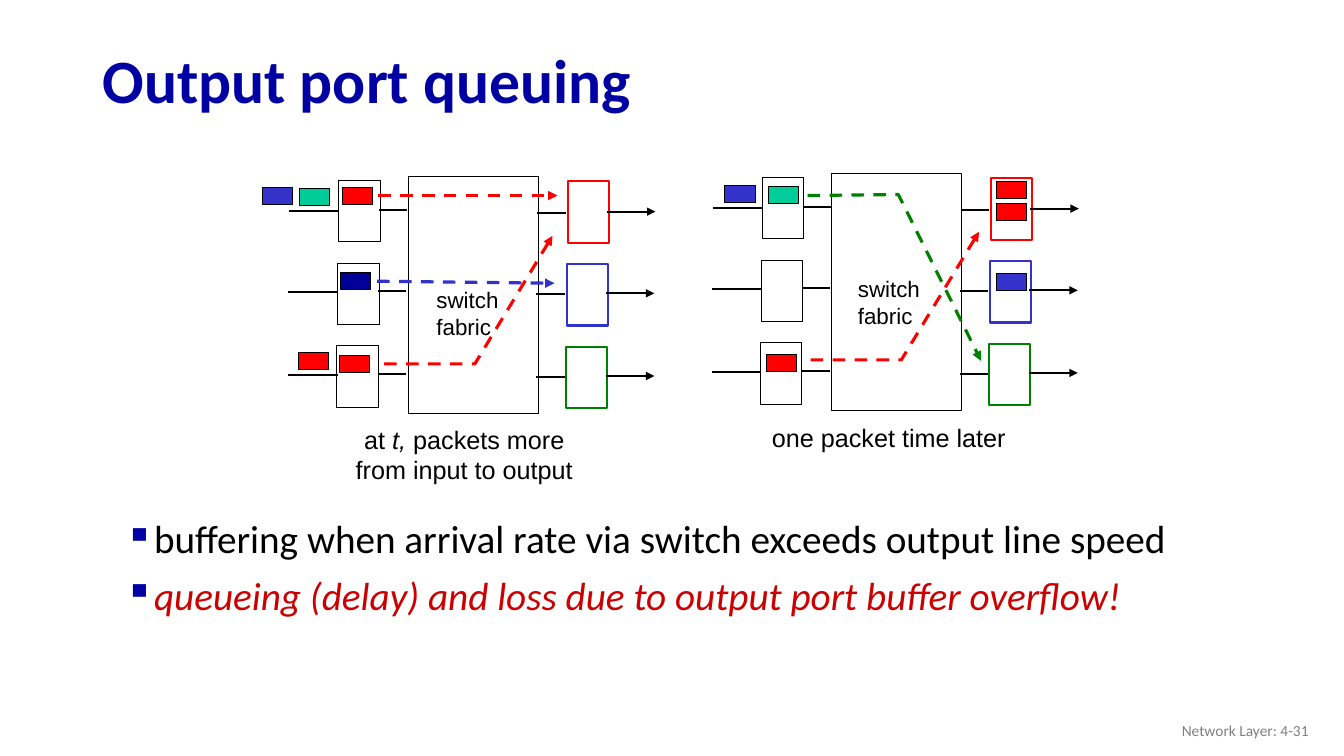
from lxml import etree
from pptx import Presentation
from pptx.dml.color import RGBColor
from pptx.enum.dml import MSO_LINE
from pptx.enum.shapes import MSO_CONNECTOR, MSO_SHAPE
from pptx.enum.text import MSO_ANCHOR, PP_ALIGN
from pptx.oxml.ns import qn
from pptx.util import Pt

PX = 9144
RECT, STRAIGHT, DASH = MSO_SHAPE.RECTANGLE, MSO_CONNECTOR.STRAIGHT, MSO_LINE.DASH
TOP, MIDDLE = MSO_ANCHOR.TOP, MSO_ANCHOR.MIDDLE
LEFT, CENTER, RIGHT = PP_ALIGN.LEFT, PP_ALIGN.CENTER, PP_ALIGN.RIGHT

BLACK, WHITE, NAVY = "000000", "FFFFFF", "0000A3"
RED, BLUE, GREEN, TEAL, DARK_BLUE = "FF0000", "3333CC", "008000", "00CC99", "000099"

ROW_SHIFTS = (0, -1, -1)
PORT_PITCH = 82
WIRE_DROPS = (0, 81, 163)
WIRES = ((128, 156, 36, False), (-29, -1, 33, False),
         (-118, -69, 34, False), (197, 245, 35, True))

AT_T = {
    "box": (405, 175),
    "packets": [(-65, 11, RED), (-67, 95, DARK_BLUE), (-68, 178, RED),
                (-108, 12, TEAL), (-109, 175, RED), (-145, 11, BLUE)],
    "routes": [(RED, [(-30, 19), (148, 19)]),
               (RED, [(-24, 186), (66, 186), (143, 59)]),
               (BLUE, [(-31, 104), (145, 106)])],
    "label": (18, 104),
    "caption": (-79, 241, 269, 70),
    "caption_lines": [
        [("at ", {}), ("t,", {"italic": True}), (" packets more", {})],
        [("from input to output", {})]],
}
ONE_PACKET_LATER = {
    "box": (825, 172),
    "packets": [(163, 8, RED), (163, 99, BLUE), (163, 30, RED),
                (-63, 13, TEAL), (-65, 180, RED), (-106, 12, BLUE)],
    "routes": [(RED, [(-21, 185), (69, 185), (146, 58)]),
               (GREEN, [(-24, 22), (66, 21), (148, 186)])],
    "label": (16, 96),
    "caption": (-78, 242, 269, 40),
    "caption_lines": [[("one packet time later", {})]],
}


def color(hex_string):
    """Turn a hex string into a colour."""
    return RGBColor.from_string(hex_string)


def emu(*lengths):
    """Turn px lengths into EMU."""
    return [length * PX for length in lengths]


def stroke(shape, hex_string, points, dashed=False, arrow=False):
    """Style the outline of a shape or connector."""
    line = shape.line
    line.color.rgb = color(hex_string)
    line.width = Pt(points)
    if dashed:
        line.dash_style = DASH
    if arrow:
        outline = shape._element.spPr.find(qn("a:ln"))
        etree.SubElement(outline, qn("a:tailEnd"), type="triangle")


def add_box(slide, x, y, width, height, fill=WHITE, edge=BLACK, points=0.75):
    """Draw a filled, outlined rectangle."""
    box = slide.shapes.add_shape(RECT, *emu(x, y, width, height))
    box.shadow.inherit = False
    box.fill.solid()
    box.fill.fore_color.rgb = color(fill)
    stroke(box, edge, points)


def add_path(slide, points, hex_string, width, dashed=False, arrow=False):
    """Draw a straight connector, or an open outline when the path bends."""
    start, *rest = points
    if len(rest) == 1:
        path = slide.shapes.add_connector(STRAIGHT, *emu(*start, *rest[0]))
        etree.SubElement(path._element.spPr, qn("a:effectLst"))
    else:
        builder = slide.shapes.build_freeform(*start, scale=PX)
        builder.add_line_segments(rest, close=False)
        path = builder.convert_to_shape()
        path.shadow.inherit = False
        path.fill.background()
    stroke(path, hex_string, width, dashed, arrow)


def add_text(slide, box, lines, font, align=LEFT, anchor=TOP, wrap=True, spacing=None):
    """Place paragraphs of formatted runs and return the paragraphs."""
    frame = slide.shapes.add_textbox(*emu(*box)).text_frame
    frame.word_wrap = wrap
    frame.vertical_anchor = anchor
    for index, runs in enumerate(lines):
        paragraph = frame.paragraphs[0] if index == 0 else frame.add_paragraph()
        for attribute, value in {"alignment": align, **(spacing or {})}.items():
            setattr(paragraph, attribute, value)
        for words, changes in runs:
            run = paragraph.add_run()
            run.text = words
            formats = {"color": BLACK, **font, **changes}
            run.font.color.rgb = color(formats.pop("color"))
            for attribute, value in formats.items():
                setattr(run.font, attribute, value)
    return frame.paragraphs


def add_title(slide, box):
    """Place the slide title."""
    add_text(slide, box, [[("Output port queuing", {})]],
             {"name": "Calibri", "size": Pt(44), "bold": True, "color": NAVY},
             anchor=MIDDLE, spacing={"line_spacing": 0.9})


def add_switch(slide, box, packets, routes, label, caption, caption_lines):
    """Draw one switch with its ports, wires, packets and routes."""
    left, top = box
    add_box(slide, left, top, 129, 235)
    for row, port_color in enumerate((RED, BLUE, GREEN)):
        port_top = top + row * PORT_PITCH
        add_box(slide, left - 69 - row, port_top + 4, 41, 61)
        add_box(slide, left + 158 - row, port_top + 5, 41, 61, edge=port_color, points=1.5)
        for start, end, drop, arrow in WIRES:
            wire_left = left + ROW_SHIFTS[row]
            y = top + drop + WIRE_DROPS[row]
            add_path(slide, [(wire_left + start, y), (wire_left + end, y)],
                     BLACK, 1.5, arrow=arrow)
    for x, y, fill in packets:
        add_box(slide, left + x, top + y, 30, 17, fill)
    label_x, label_y = label
    add_text(slide, (left + label_x, top + label_y, 82, 64),
             [[("switch", {})], [("fabric", {})]],
             {"name": "Arial", "size": Pt(16)}, wrap=False)
    for route_color, points in routes:
        add_path(slide, [(left + x, top + y) for x, y in points],
                 route_color, 2.25, dashed=True, arrow=True)
    x, y, width, height = caption
    add_text(slide, (left + x, top + y, width, height), caption_lines,
             {"name": "Arial", "size": Pt(18)}, CENTER)


def add_bullets(slide, box):
    """Place the two points under the diagrams."""
    points = add_text(
        slide, box,
        [[("buffering when arrival rate via switch exceeds output line speed", {})],
         [("queueing (delay) and loss due to output port buffer overflow!",
           {"italic": True, "color": "CC0000"})]],
        {"name": "Calibri", "size": Pt(28)},
        spacing={"line_spacing": 0.9, "space_before": Pt(10)})
    for point in points:
        properties = point._p.get_or_add_pPr()
        properties.set("marL", str(39 * PX))
        properties.set("indent", str(-24 * PX))
        bullet_color = etree.SubElement(properties, qn("a:buClr"))
        etree.SubElement(bullet_color, qn("a:srgbClr"), val=NAVY)
        etree.SubElement(properties, qn("a:buChar"), char="▪")


def add_footer(slide, box):
    """Place the chapter and page number."""
    add_text(slide, box, [[("Network Layer: 4-31", {})]],
             {"name": "Calibri", "size": Pt(11), "color": "808080"}, RIGHT, MIDDLE)


def main():
    """Build and save the slide."""
    deck = Presentation()
    deck.slide_width, deck.slide_height = emu(1333, 750)
    slide = deck.slides.add_slide(deck.slide_layouts[6])
    add_title(slide, (92, 34, 1150, 98))
    for switch in (AT_T, ONE_PACKET_LATER):
        add_switch(slide, **switch)
    add_bullets(slide, (99, 511, 1100, 192))
    add_footer(slide, (1008, 705, 300, 40))
    deck.save("out.pptx")


if __name__ == "__main__":
    main()
